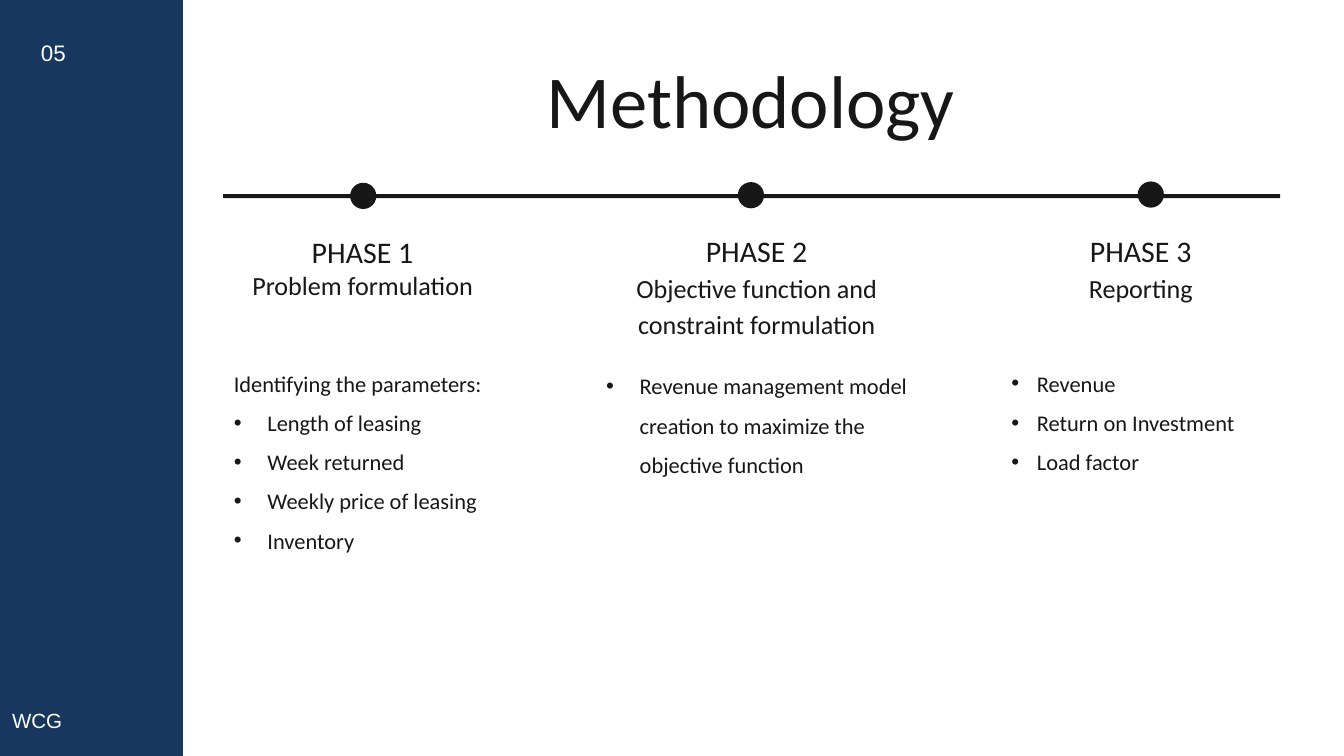
"""Build the Methodology slide: a three-phase timeline beside a navy side band."""
from dataclasses import dataclass

from lxml.etree import SubElement
from pptx import Presentation
from pptx.dml.color import RGBColor
from pptx.enum.shapes import MSO_SHAPE as Shape
from pptx.enum.text import PP_ALIGN as Align
from pptx.oxml.ns import qn
from pptx.util import Inches, Pt


@dataclass(frozen=True)
class Theme:
    ink: RGBColor = RGBColor(0x17, 0x17, 0x17)
    navy: RGBColor = RGBColor(0x17, 0x37, 0x5E)
    white: RGBColor = RGBColor(0xFF, 0xFF, 0xFF)
    body_font: str = "Calibri"
    band_font: str = "Arial"
    title: int = 80
    phase: int = 32
    subtitle: int = 28
    body: int = 24
    footer: int = 22


theme = Theme()
presentation = Presentation()
presentation.slide_width = Inches(20)
presentation.slide_height = Inches(11.25)
slide = presentation.slides.add_slide(presentation.slide_layouts[6])


def add_solid(preset, left, top, width, height, color):
    shape = slide.shapes.add_shape(
        preset, Inches(left), Inches(top), Inches(width), Inches(height))
    shape.shadow.inherit = False
    shape.fill.solid()
    shape.fill.fore_color.rgb = color
    shape.line.fill.background()


def add_text(box, lines, spacing=None, align=Align.LEFT, color=theme.ink,
             font=theme.body_font):
    frame = slide.shapes.add_textbox(*map(Inches, box)).text_frame
    frame.word_wrap = True
    frame.margin_left = frame.margin_right = 0
    frame.margin_top = frame.margin_bottom = 0
    for index, (text, size, indent) in enumerate(lines):
        paragraph = frame.paragraphs[0] if index == 0 else frame.add_paragraph()
        paragraph.text = text
        if indent:
            properties = paragraph._p.get_or_add_pPr()
            properties.set("marL", str(Inches(indent)))
            properties.set("indent", str(-Inches(indent)))
            SubElement(properties, qn("a:buFont"), typeface="Arial")
            SubElement(properties, qn("a:buChar"), char="•")
        paragraph.alignment = align
        if spacing:
            paragraph.line_spacing = Pt(spacing)
        paragraph.font.name = font
        paragraph.font.size = Pt(size)
        paragraph.font.color.rgb = color


add_solid(Shape.RECTANGLE, 3.32, 2.89, 15.73, 0.06, theme.ink)
for left, top in ((5.21, 2.72), (10.98, 2.71), (16.93, 2.7)):
    add_solid(Shape.OVAL, left, top, 0.39, 0.39, theme.ink)

add_text((4.5, 1.04, 13.35, 1.16), [("Methodology", theme.title, 0)],
         78.4, Align.CENTER)

phases = [
    ("Problem formulation", (3.32, 3.47, 4.15, 1.01), None,
     (3.48, 5.32, 4.49, 2.87), 0.5, "Identifying the parameters:",
     ["Length of leasing", "Week returned", "Weekly price of leasing", "Inventory"]),
    ("Objective function and constraint formulation", (9.26, 3.46, 4, 1.58), 38.4,
     (9.02, 5.36, 4.49, 1.7), 0.5, None,
     ["Revenue management model creation to maximize the objective function"]),
    ("Reporting", (14.9, 3.46, 4.15, 1.07), 38.4,
     (15.05, 5.32, 4.15, 1.7), 0.38, None,
     ["Revenue", "Return on Investment", "Load factor"]),
]
for number, phase in enumerate(phases, start=1):
    subtitle, heading_box, spacing, body_box, indent, intro, bullets = phase
    heading = [(f"PHASE {number}", theme.phase, 0), (subtitle, theme.subtitle, 0)]
    add_text(heading_box, heading, spacing, Align.CENTER)
    body = [(intro, theme.body, 0)] if intro else []
    body += [(bullet, theme.body, indent) for bullet in bullets]
    add_text(body_box, body, 42)

add_solid(Shape.RECTANGLE, 0, 0, 2.72, 11.25, theme.navy)
add_text((0.18, 10.53, 2.4, 0.37), [("WCG", theme.footer, 0)],
         color=theme.white, font=theme.band_font)
add_text((0.61, 0.52, 1.67, 0.46), [("05", theme.body, 0)], 33.6,
         color=theme.white, font=theme.band_font)

presentation.save("out.pptx")
